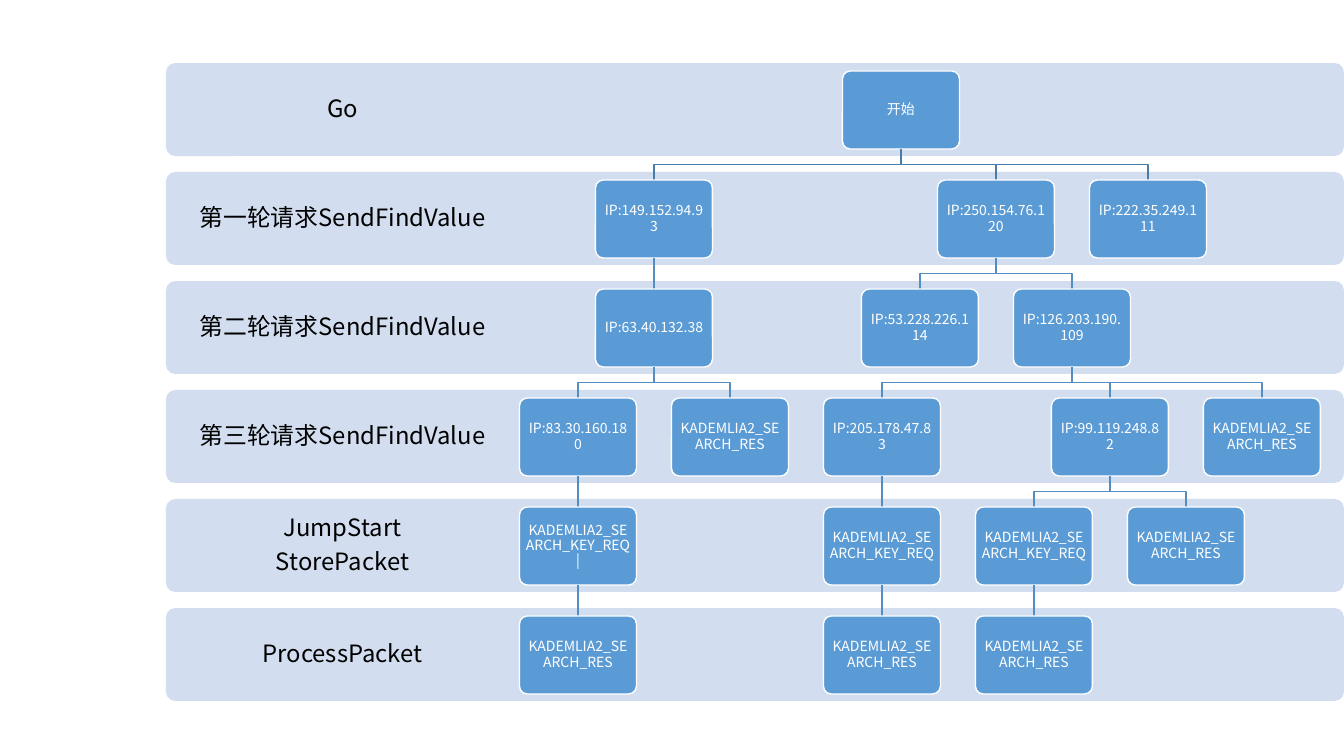
from dataclasses import dataclass

from lxml import etree
from pptx import Presentation
from pptx import util as u
from pptx.dml.color import RGBColor
from pptx.enum import shapes, text
from pptx.oxml.ns import qn

PIXEL = 914400 / 100.8
FONT = "Noto Sans CJK SC"

BAND_FILL = RGBColor(0xD2, 0xDE, 0xEF)
NODE_FILL = RGBColor(0x5B, 0x9B, 0xD5)
ROOT_LINK = RGBColor(0x49, 0x7C, 0xAB)
LINK = RGBColor(0x53, 0x8D, 0xC1)
WHITE = RGBColor(0xFF, 0xFF, 0xFF)
BLACK = RGBColor(0x00, 0x00, 0x00)

# Rows are shared by the bands and by the levels of the tree
ROW_PITCH, ROW_HEIGHT = 109, 93
NODE_WIDTH, NODE_HEIGHT = 117, 78
COLUMN_STEP = 38

STAGES = ["Go", "第一轮请求SendFindValue", "第二轮请求SendFindValue",
          "第三轮请求SendFindValue", "JumpStart\nStorePacket", "ProcessPacket"]
KEY_REQ = "KADEMLIA2_SEARCH_KEY_REQ"
SEARCH_RES = "KADEMLIA2_SEARCH_RES"


@dataclass
class Node:
    label: str
    children: tuple = ()
    column: float = 0

    def __post_init__(self):
        # A parent stands midway between its first and last child
        if self.children:
            self.column = (self.children[0].column + self.children[-1].column) / 2


def leaf(label, column):
    return Node(label, (), column)


def key_search(column, request=KEY_REQ):
    return Node(request, (leaf(SEARCH_RES, column),))


LOOKUP = Node("开始", (
    Node("IP:149.152.94.93", (
        Node("IP:63.40.132.38", (
            Node("IP:83.30.160.180", (key_search(0, KEY_REQ + "|"),)),
            leaf(SEARCH_RES, 4))),)),
    Node("IP:250.154.76.120", (
        leaf("IP:53.228.226.114", 9),
        Node("IP:126.203.190.109", (
            Node("IP:205.178.47.83", (key_search(8),)),
            Node("IP:99.119.248.82", (key_search(12), leaf(SEARCH_RES, 16))),
            leaf(SEARCH_RES, 18))))),
    leaf("IP:222.35.249.111", 15)))


def px(value):
    return u.Emu(round(value * PIXEL))


def write(shape, words, size, color, inset):
    frame = shape.text_frame
    frame.word_wrap = True
    frame.vertical_anchor = text.MSO_ANCHOR.MIDDLE
    frame.margin_left = frame.margin_right = px(inset)
    frame.margin_top = frame.margin_bottom = px(inset)
    frame.text = words
    for paragraph in frame.paragraphs:
        paragraph.alignment = text.PP_ALIGN.CENTER
        paragraph.line_spacing = 0.9
        paragraph.space_after = u.Pt(round(size * 0.35, 1))
        for run in paragraph.runs:
            run.font.size = u.Pt(size)
            run.font.name = FONT
            run.font.color.rgb = color
            east_asian = etree.SubElement(run.font._element, qn("a:ea"))
            east_asian.set("typeface", FONT)


def rounded_box(slide, left, top, width, height, fill, outline=None):
    box = slide.shapes.add_shape(shapes.MSO_SHAPE.ROUNDED_RECTANGLE,
                                 px(left), px(top), px(width), px(height))
    box.adjustments[0] = 0.1
    box.shadow.inherit = False
    box.fill.solid()
    box.fill.fore_color.rgb = fill
    if outline is None:
        box.line.fill.background()
    else:
        box.line.color.rgb = outline
        box.line.width = u.Pt(1)
    return box


def stage_bands(slide, left, top, width, label_width):
    for row, stage in enumerate(STAGES):
        band_top = top + row * ROW_PITCH
        rounded_box(slide, left, band_top, width, ROW_HEIGHT, BAND_FILL)
        label = slide.shapes.add_textbox(px(left), px(band_top),
                                         px(label_width), px(ROW_HEIGHT))
        write(label, stage, size=17, color=BLACK, inset=13)


def link(slide, start_x, start_y, end_x, end_y, color):
    if start_x == end_x:
        branch = slide.shapes.add_connector(shapes.MSO_CONNECTOR.STRAIGHT,
                                            px(start_x), px(start_y), px(end_x), px(end_y))
        etree.SubElement(branch._element.spPr, qn("a:effectLst"))
    else:
        middle = (start_y + end_y) / 2
        outline = slide.shapes.build_freeform(px(start_x), px(start_y))
        outline.add_line_segments([(px(start_x), px(middle)), (px(end_x), px(middle)),
                                   (px(end_x), px(end_y))], close=False)
        branch = outline.convert_to_shape()
        branch.fill.background()
        branch.shadow.inherit = False
    branch.line.color.rgb = color
    branch.line.width = u.Pt(1)


def lookup_tree(slide, node, origin, top, color=ROOT_LINK):
    """Draws a node and its branches; origin is the centre of column 0."""
    center = origin + node.column * COLUMN_STEP
    box = rounded_box(slide, center - NODE_WIDTH / 2, top, NODE_WIDTH, NODE_HEIGHT,
                      NODE_FILL, outline=WHITE)
    write(box, node.label, size=10, color=WHITE, inset=4)
    for child in node.children:
        link(slide, center, top + NODE_HEIGHT,
             origin + child.column * COLUMN_STEP, top + ROW_PITCH, color)
        lookup_tree(slide, child, origin, top + ROW_PITCH, LINK)


deck = Presentation()
deck.slide_width, deck.slide_height = px(1344), px(756)
search_slide = deck.slides.add_slide(deck.slide_layouts[6])

# Stage bands behind, lookup tree in front
stage_bands(search_slide, left=166, top=63, width=1178, label_width=353)
lookup_tree(search_slide, LOOKUP, origin=578, top=71)

deck.save("out.pptx")
